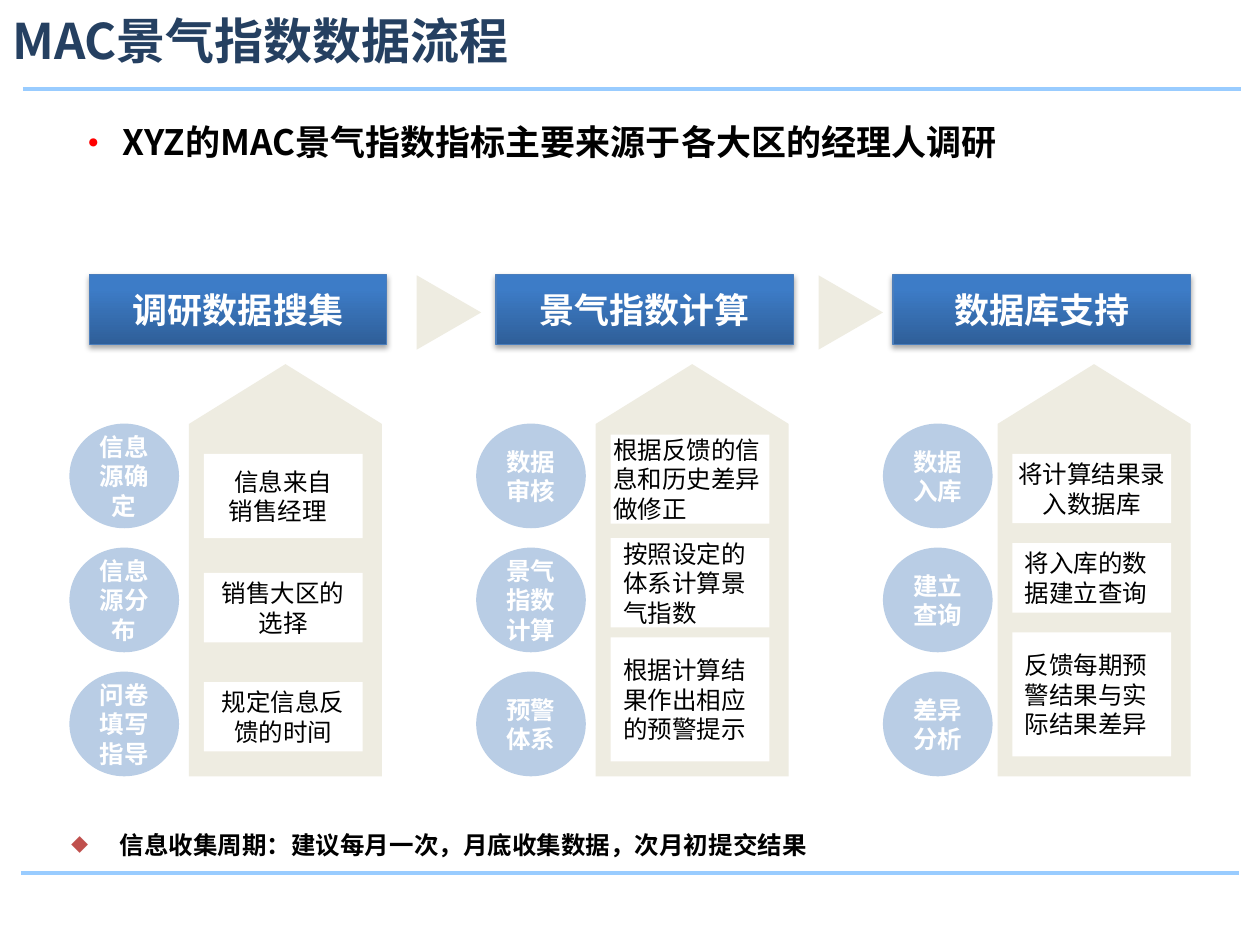
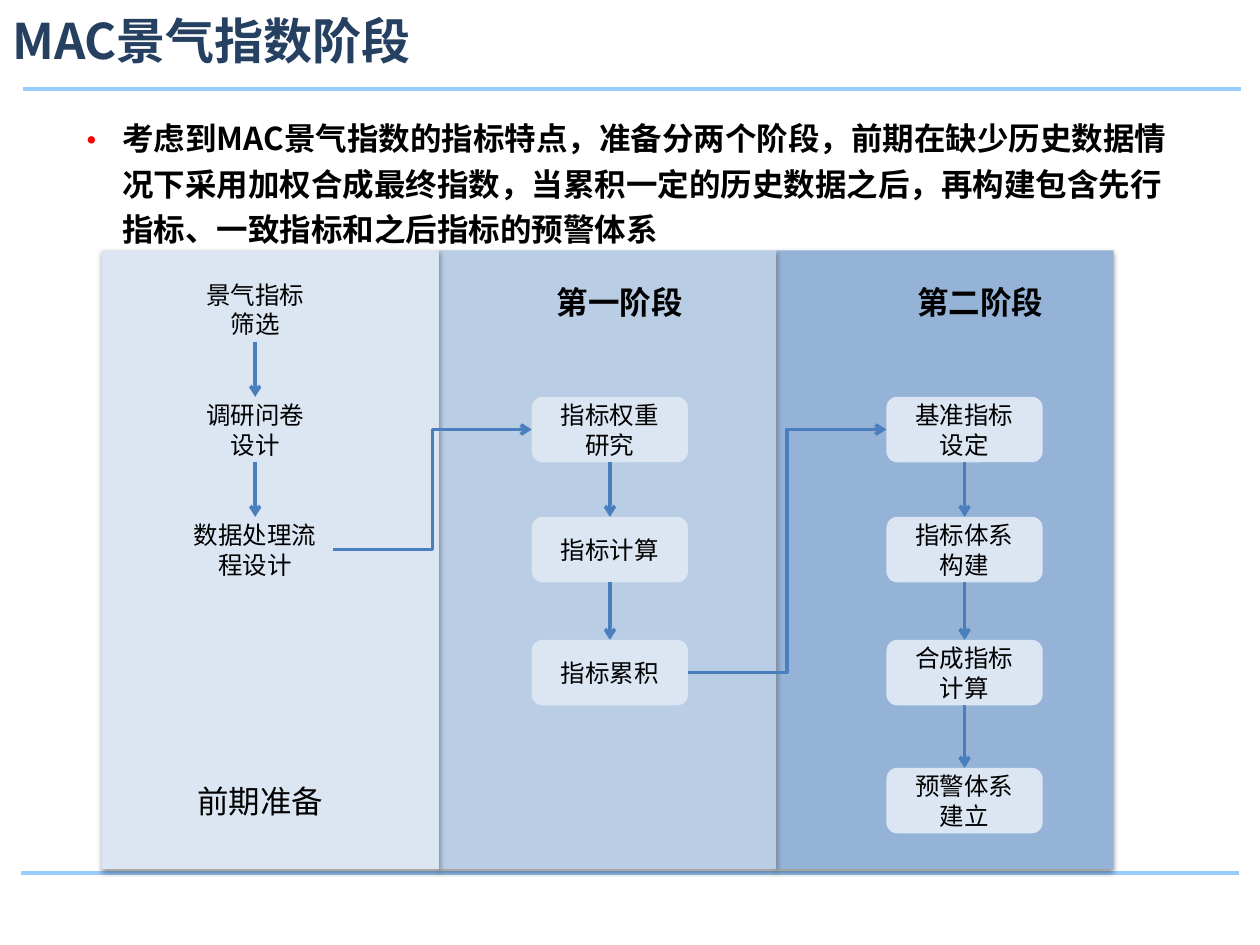
from lxml import etree
from pptx import Presentation
from pptx import util as u
from pptx.dml.color import RGBColor
from pptx.enum import shapes, text
from pptx.oxml import ns

FONT = "Noto Sans CJK SC"
BLACK = RGBColor(0x00, 0x00, 0x00)
WHITE = RGBColor(0xFF, 0xFF, 0xFF)
RED = RGBColor(0xFF, 0x00, 0x00)
BRICK = RGBColor(0xC0, 0x50, 0x4D)
NAVY = RGBColor(0x25, 0x40, 0x61)
RULE_BLUE = RGBColor(0x99, 0xCC, 0xFF)
LINE_BLUE = RGBColor(0x4B, 0x7E, 0xBC)
DEEP_BLUE = RGBColor(0x2F, 0x5F, 0x99)
BRIGHT_BLUE = RGBColor(0x3D, 0x7C, 0xC7)
PALE_BLUE = RGBColor(0xDC, 0xE6, 0xF2)
SOFT_BLUE = RGBColor(0xB9, 0xCD, 0xE5)
MID_BLUE = RGBColor(0x95, 0xB3, 0xD7)
BEIGE = RGBColor(0xEE, 0xEC, 0xE1)

SHAPE = shapes.MSO_SHAPE
LEFT, CENTER = text.PP_ALIGN.LEFT, text.PP_ALIGN.CENTER
MIDDLE = text.MSO_ANCHOR.MIDDLE
TIGHT = dict.fromkeys(
    ("margin_left", "margin_top", "margin_right", "margin_bottom"), u.Cm(0.05))
TOP, LEFT_SIDE, BOTTOM, RIGHT_SIDE = range(4)

COLUMNS = [
    {"header": "调研数据搜集", "header_x": 1.8, "house_x": 3.81,
     "circles": ["信息源确定", "信息源分布", "问卷填写指导"],
     "boxes": [(9.15, 1.7, CENTER, "信息来自\n销售经理"),
               (11.55, 1.4, CENTER, "销售大区的选择"),
               (13.75, 1.4, CENTER, "规定信息反馈的时间")]},
    {"header": "景气指数计算", "header_x": 10, "house_x": 12.01,
     "circles": ["数据审核", "景气指数计算", "预警体系"],
     "boxes": [(8.76, 1.8, LEFT, "根据反馈的信息和历史差异做修正"),
               (10.85, 1.8, LEFT, "按照设定的体系计算景气指数"),
               (12.85, 2.5, LEFT, "根据计算结果作出相应的预警提示")]},
    {"header": "数据库支持", "header_x": 18, "house_x": 20.11,
     "circles": ["数据入库", "建立查询", "差异分析"],
     "boxes": [(9.15, 1.4, CENTER, "将计算结果录入数据库"),
               (10.95, 1.4, LEFT, "将入库的数据建立查询"),
               (12.75, 2.5, LEFT, "反馈每期预警结果与实际结果差异")]},
]

ROWS = [5.57, 8, 10.42, 12.9, 15.48]
PHASES = [
    {"color": PALE_BLUE, "first_row": 0,
     "steps": ["景气指标\n筛选", "调研问卷\n设计", "数据处理流程设计"]},
    {"color": SOFT_BLUE, "first_row": 1,
     "steps": ["指标权重\n研究", "指标计算", "指标累积"]},
    {"color": MID_BLUE, "first_row": 1,
     "steps": ["基准指标\n设定", "指标体系\n构建", "合成指标\n计算", "预警体系\n建立"]},
]


def apply(target, values):
    for name, value in values.items():
        setattr(target, name, value)


def add_xml(parent, tag, **attributes):
    return etree.SubElement(parent, ns.qn(tag), attributes)


def write(shape, content, size, color=BLACK, bold=False, align=LEFT, frame=None):
    apply(shape.text_frame, {"word_wrap": True, **(frame or {})})
    shape.text_frame.text = content
    for paragraph in shape.text_frame.paragraphs:
        paragraph.alignment = align
        for run in paragraph.runs:
            apply(run.font, {"name": FONT, "size": u.Pt(size), "bold": bold})
            run.font.color.rgb = color
            add_xml(run.font._element, "a:ea", typeface=FONT)


def add_text(slide, box, content, size, **style):
    shape = slide.shapes.add_textbox(*map(u.Cm, box))
    write(shape, content, size, **style)
    return shape


def add_bullet(shape, character, color, percent):
    properties = shape.text_frame.paragraphs[0]._p.get_or_add_pPr()
    apply_indent(properties, 0.97, -0.97)
    add_xml(add_xml(properties, "a:buClr"), "a:srgbClr", val=str(color))
    add_xml(properties, "a:buSzPct", val=str(percent * 1000))
    add_xml(properties, "a:buFont", typeface=FONT)
    add_xml(properties, "a:buChar", char=character)


def apply_indent(properties, margin, first_line):
    properties.set("marL", str(u.Cm(margin)))
    properties.set("indent", str(u.Cm(first_line)))


def add_block(slide, kind, box, color, rotation=0):
    x, y, width, height = box
    if rotation:
        x, y = x + (width - height) / 2, y + (height - width) / 2
        width, height = height, width
    shape = slide.shapes.add_shape(kind, *map(u.Cm, (x, y, width, height)))
    shape.rotation = rotation
    shape.shadow.inherit = False
    shape.fill.solid()
    shape.fill.fore_color.rgb = color
    shape.line.fill.background()
    return shape


def add_shadow(shape, distance, opacity):
    effects = shape._element.spPr.find(ns.qn("a:effectLst"))
    shadow = add_xml(effects, "a:outerShdw", blurRad=str(u.Pt(3.1)),
                     dist=str(u.Pt(distance)), dir="5400000", rotWithShape="0")
    tint = add_xml(shadow, "a:srgbClr", val=str(BLACK))
    add_xml(tint, "a:alpha", val=str(opacity * 1000))


def add_line(slide, kind, ends, color, width):
    line = slide.shapes.add_connector(kind, *map(u.Cm, ends))
    line.line.color.rgb = color
    line.line.width = u.Pt(width)
    add_xml(line._element.spPr, "a:effectLst")
    return line


def add_arrow(slide, start, end, kind, start_site, end_site):
    arrow = add_line(slide, kind, (0, 0, 0, 0), LINE_BLUE, 2)
    arrow.begin_connect(start, start_site)
    arrow.end_connect(end, end_site)
    add_xml(arrow.line._get_or_add_ln(), "a:tailEnd", type="arrow")


def add_header(slide, x, content):
    shape = add_block(slide, SHAPE.RECTANGLE, (x, 5.54, 6, 1.4), BRIGHT_BLUE)
    shape.fill.gradient()
    shape.fill.gradient_angle = 90
    stops = zip(shape.fill.gradient_stops, (0, 0.8), (DEEP_BLUE, BRIGHT_BLUE))
    for stop, position, color in stops:
        stop.position = position
        stop.color.rgb = color
    shape.line.color.rgb = LINE_BLUE
    shape.line.width = u.Pt(0.75)
    add_shadow(shape, 1.8, 35)
    write(shape, content, 20, WHITE, True, CENTER,
          {"word_wrap": False, "vertical_anchor": MIDDLE})


def add_frame(presentation, title):
    slide = presentation.slides.add_slide(presentation.slide_layouts[6])
    for x, y in ((0.46, 1.79), (0.43, 17.6)):
        add_line(slide, shapes.MSO_CONNECTOR.STRAIGHT,
                 (x, y, x + 24.55, y), RULE_BLUE, 2.25)
    add_text(slide, (0, 0, 24.9, 1.63), title, 28, color=NAVY, bold=True,
             frame={"vertical_anchor": MIDDLE})
    return slide


def add_lead(slide, content, size):
    lead = add_text(slide, (1.25, 2.13, 22.86, 2.6), content, size, bold=True)
    apply(lead.text_frame.paragraphs[0],
          {"line_spacing": 1.2, "space_before": u.Pt(6)})
    add_bullet(lead, "•", RED, 110)


def add_column(slide, index, column):
    add_header(slide, column["header_x"], column["header"])
    house_x = column["house_x"]
    house = add_block(slide, SHAPE.PENTAGON, (house_x, 7.34, 3.89, 8.31), BEIGE, 270)
    house.adjustments[0] = 0.31
    for row, (y, height, align, content) in enumerate(column["boxes"]):
        box = add_block(slide, SHAPE.RECTANGLE,
                        (house_x + 0.3, y, 3.2, height), WHITE)
        write(box, content, 14, align=align,
              frame={"vertical_anchor": MIDDLE, **(TIGHT if row == 0 else {})})
        for paragraph in box.text_frame.paragraphs[1:]:
            paragraph.alignment = LEFT
            apply_indent(paragraph._p.get_or_add_pPr(), 0.45, 0)
    for row, content in enumerate(column["circles"]):
        circle = add_block(slide, SHAPE.OVAL,
                           (1.4 + 8.2 * index, 8.54 + 2.5 * row, 2.21, 2.11), SOFT_BLUE)
        write(circle, content, 14, WHITE, True, CENTER,
              {"vertical_anchor": MIDDLE, **TIGHT})


def add_step(slide, phase, row, content):
    step = add_block(slide, SHAPE.ROUNDED_RECTANGLE,
                     (3.57 + 7.15 * phase, ROWS[row], 3.15, 1.32), PALE_BLUE)
    write(step, content, 14, align=CENTER, frame={"vertical_anchor": MIDDLE})
    return step


def build_data_flow(presentation):
    slide = add_frame(presentation, "MAC景气指数数据流程")
    add_lead(slide, "XYZ的MAC景气指数指标主要来源于各大区的经理人调研", 20)
    for index, column in enumerate(COLUMNS):
        add_column(slide, index, column)
    for x in (8.4, 16.5):
        add_block(slide, SHAPE.ISOSCELES_TRIANGLE, (x, 5.55, 1.3, 1.5), BEIGE, 90)
    note = add_text(slide, (1.19, 16.6, 15.77, 0.99),
                    "信息收集周期：建议每月一次，月底收集数据，次月初提交结果",
                    14, bold=True)
    add_bullet(note, "◆", BRICK, 70)


def build_phases(presentation):
    slide = add_frame(presentation, "MAC景气指数阶段")
    for index, phase in reversed(list(enumerate(PHASES))):
        band = add_block(slide, SHAPE.RECTANGLE,
                         (2.05 + 6.8 * index, 5.05, 6.8, 12.47), phase["color"])
        add_shadow(band, 1.6, 38)
    add_lead(slide, "考虑到MAC景气指数的指标特点，准备分两个阶段，前期在缺少历史数据情况下"
             "采用加权合成最终指数，当累积一定的历史数据之后，再构建包含先行指标、"
             "一致指标和之后指标的预警体系", 18)
    chains = [[add_step(slide, index, row, content)
               for row, content in enumerate(phase["steps"], phase["first_row"])]
              for index, phase in enumerate(PHASES)]
    for chain in chains:
        for start, end in zip(chain, chain[1:]):
            add_arrow(slide, start, end, shapes.MSO_CONNECTOR.STRAIGHT, BOTTOM, TOP)
    for chain, following in zip(chains, chains[1:]):
        add_arrow(slide, chain[-1], following[0], shapes.MSO_CONNECTOR.ELBOW,
                  RIGHT_SIDE, LEFT_SIDE)
    for x, y, label, bold in ((3.73, 15.65, "前期准备", False),
                              (10.97, 5.59, "第一阶段", True),
                              (18.24, 5.59, "第二阶段", True)):
        add_text(slide, (x, y, 4.83, 1.02), label, 18, bold=bold)


def main():
    presentation = Presentation()
    apply(presentation, {"slide_width": u.Cm(25.4), "slide_height": u.Cm(19.05)})
    build_data_flow(presentation)
    build_phases(presentation)
    presentation.save("out.pptx")


if __name__ == "__main__":
    main()
